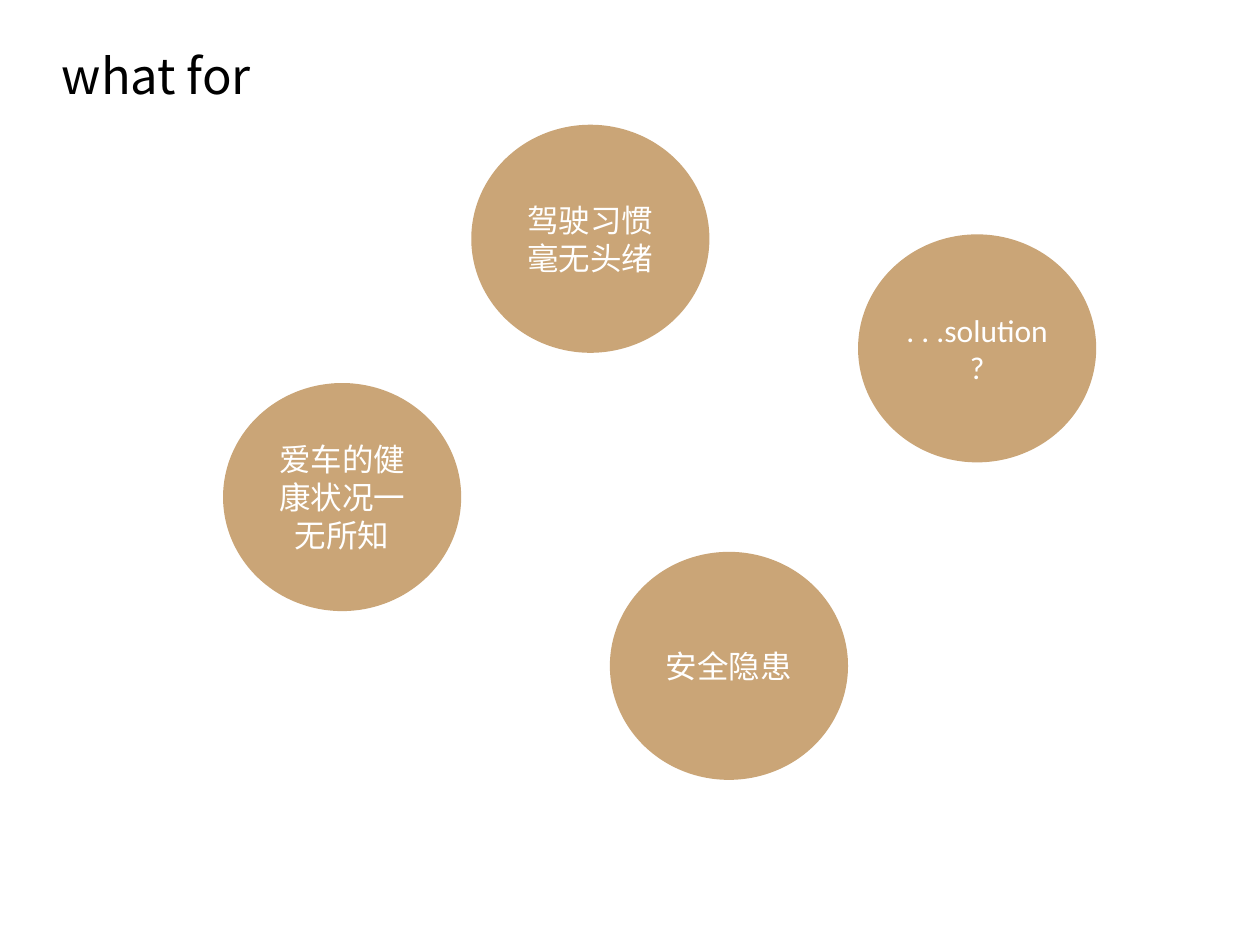
"""Build the "what for" slide: a title and four scattered discs of driver concerns."""
from pptx import Presentation
from pptx.dml.color import RGBColor
from pptx.enum.shapes import MSO_SHAPE
from pptx.enum.text import MSO_ANCHOR, PP_ALIGN
from pptx.util import Inches, Pt

OVAL = MSO_SHAPE.OVAL
TOP, MIDDLE = MSO_ANCHOR.TOP, MSO_ANCHOR.MIDDLE
LEFT, CENTER = PP_ALIGN.LEFT, PP_ALIGN.CENTER

TAN = RGBColor(0xCA, 0xA5, 0x77)
WHITE = RGBColor(0xFF, 0xFF, 0xFF)
BLACK = RGBColor(0x00, 0x00, 0x00)

CELL = 0.1
TITLE_ONLY = 5
DISC_COLUMNS, DISC_ROWS = 18.9, 18.1

CONCERNS = [
    ("爱车的健康状况一无所知", 17.7, 30.4),
    (". . .solution?", 68.1, 18.6),
    ("安全隐患", 48.4, 43.8),
    ("驾驶习惯毫无头绪", 37.4, 9.9),
]


def write(shape, text, *, font, size, color, align, anchor, wrap=True):
    frame = shape.text_frame
    frame.word_wrap = wrap
    frame.vertical_anchor = anchor
    para = frame.paragraphs[0]
    para.alignment = align
    span = para.add_run()
    span.text = text
    span.font.name = font
    span.font.size = Pt(size)
    span.font.color.rgb = color


class Page:
    title_style = dict(font="Noto Sans CJK SC", size=28, color=BLACK,
                       align=LEFT, anchor=TOP, wrap=False)
    disc_style = dict(font="Calibri", size=18, color=WHITE,
                      align=CENTER, anchor=MIDDLE)

    def __init__(self, deck):
        self.slide = deck.slides.add_slide(deck.slide_layouts[TITLE_ONLY])

    def area(self, *cells):
        return [Inches(cell * CELL) for cell in cells]

    def title(self, text, column, row, columns, rows):
        box = self.slide.shapes.title
        box.left, box.top, box.width, box.height = self.area(column, row, columns, rows)
        write(box, text, **self.title_style)

    def disc(self, text, column, row):
        disc = self.slide.shapes.add_shape(
            OVAL, *self.area(column, row, DISC_COLUMNS, DISC_ROWS))
        disc.shadow.inherit = False
        disc.fill.solid()
        disc.fill.fore_color.rgb = TAN
        disc.line.fill.background()
        write(disc, text, **self.disc_style)


deck = Presentation()
deck.slide_width, deck.slide_height = Inches(10), Inches(7.5)
page = Page(deck)
page.title("what for", 3.9, 3.1, 17.5, 6)
for text, column, row in CONCERNS:
    page.disc(text, column, row)
deck.save("out.pptx")
